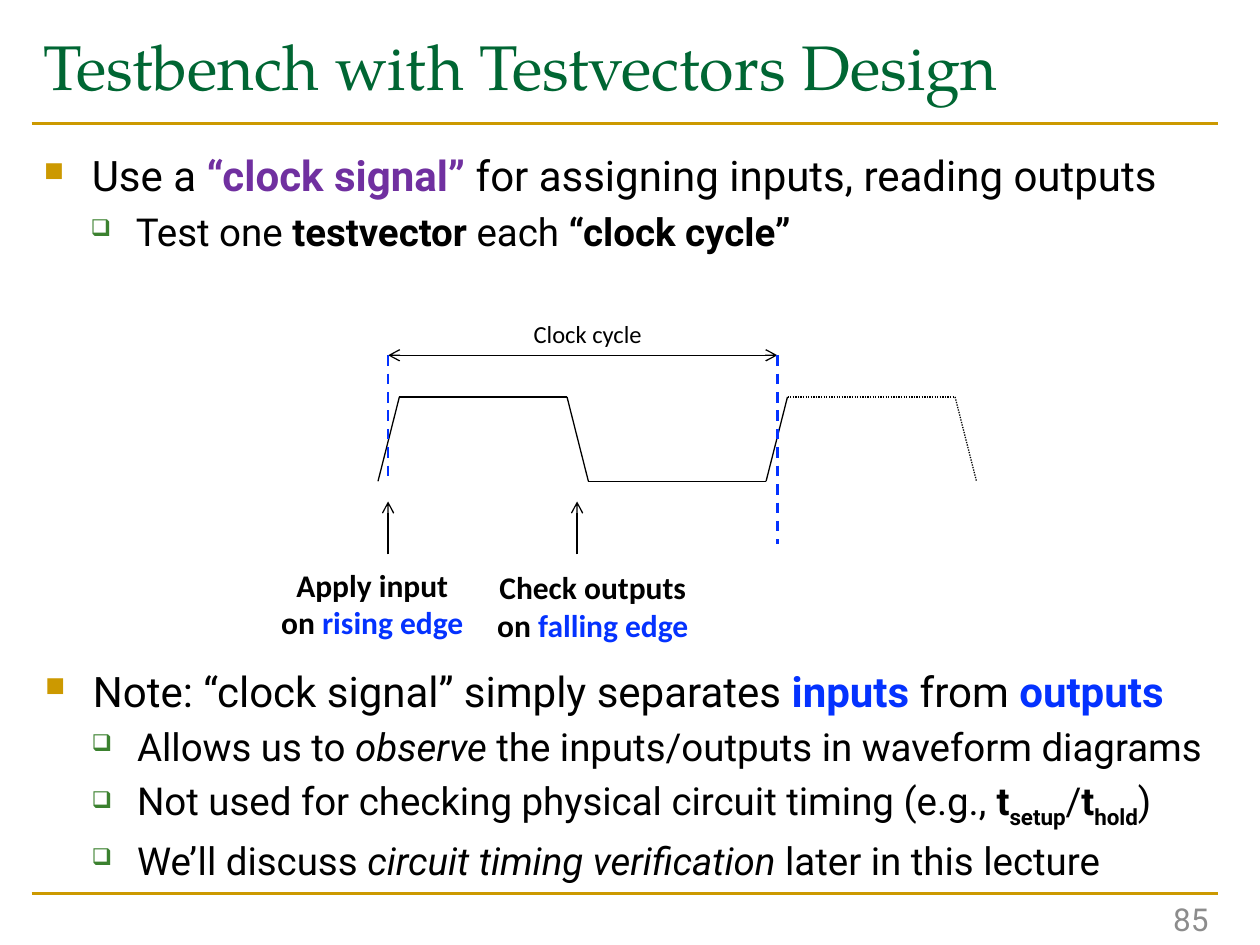
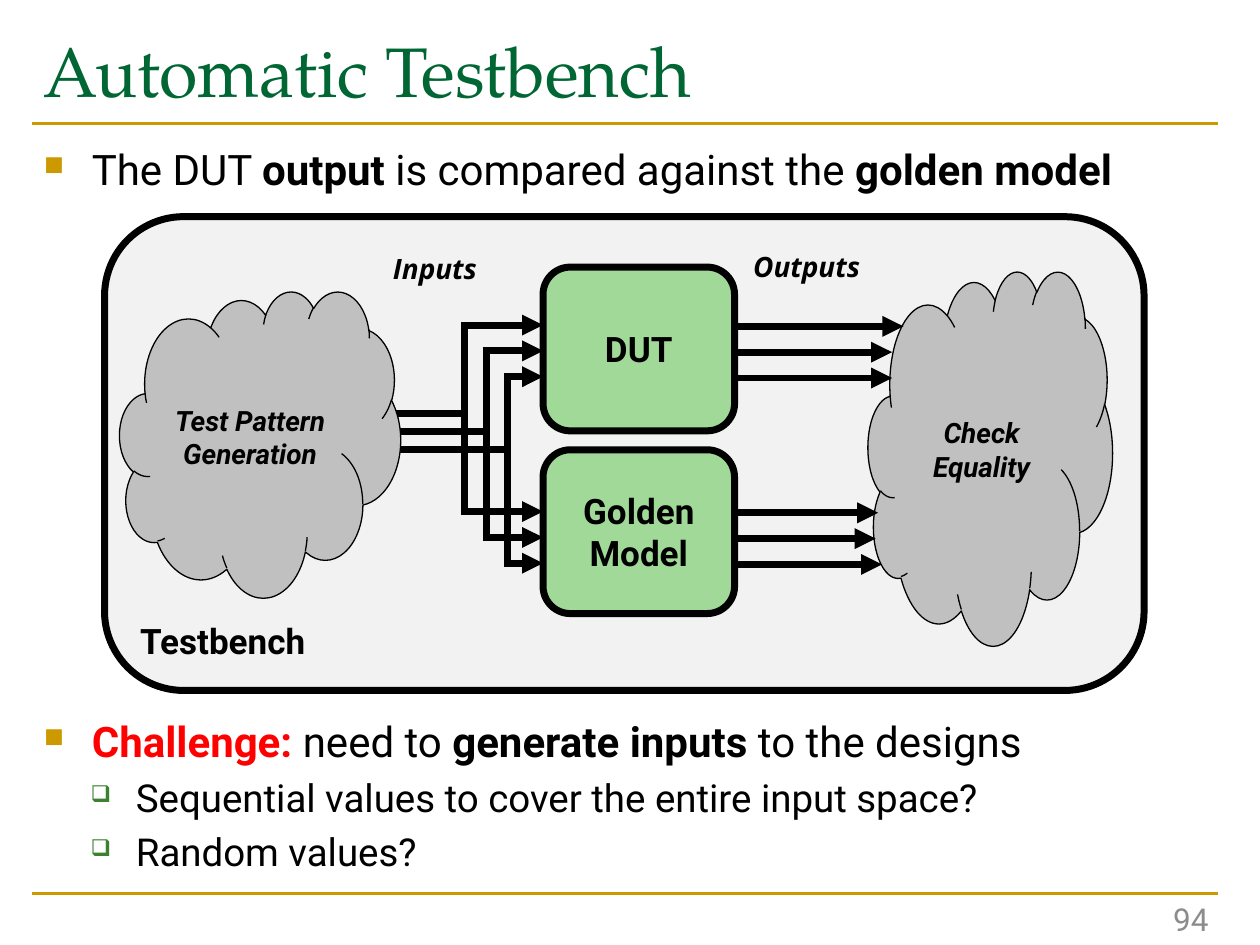
from dataclasses import dataclass
from itertools import pairwise
from typing import Optional, Union

from lxml.etree import SubElement
from pptx import Presentation
from pptx.dml.color import RGBColor
from pptx.enum.dml import MSO_LINE
from pptx.enum.shapes import MSO_CONNECTOR, MSO_SHAPE
from pptx.enum.text import MSO_ANCHOR, PP_ALIGN
from pptx.oxml.ns import qn
from pptx.util import Inches, Pt

COLORS = {
    "rule": "CC9900", "title": "006633", "sub_bullet": "3B812F", "page": "8C8C8C",
    "ink": "000000", "purple": "7030A0", "blue": "0432FF", "red": "FF0000",
    "bench": "F2F2F2", "model": "A1DA98", "cloud": "C0C0C0",
}
TITLE_FONT, BODY_FONT, LABEL_FONT, SIGNAL_FONT = (
    "TeX Gyre Pagella", "Roboto", "Calibri", "Open Sans")


@dataclass
class Run:
    text: str
    bold: Optional[bool] = None
    italic: Optional[bool] = None
    color: Optional[str] = None
    subscript: bool = False


@dataclass
class Style:
    size: float
    font: str = BODY_FONT
    color: str = "ink"
    bold: bool = False
    italic: bool = False
    align: PP_ALIGN = PP_ALIGN.LEFT


@dataclass
class Level:
    size: float
    indent: float
    hanging: float
    bullet: str
    bullet_color: str
    bullet_percent: int


@dataclass
class Block:
    """A preset shape with a label in it."""
    kind: MSO_SHAPE
    box: tuple[float, float, float, float]
    fill: str
    line_width: float
    label: str
    style: Style
    anchor: MSO_ANCHOR = MSO_ANCHOR.MIDDLE


Line = list[Union[str, Run]]
LEVELS = (Level(24, 0.38, 0.38, "■", "rule", 65),
          Level(22, 0.73, 0.36, "❑", "sub_bullet", 60))


def rgb(name: str) -> RGBColor:
    return RGBColor.from_string(COLORS[name])


def fill_paragraph(paragraph, line: Line, style: Style) -> None:
    paragraph.alignment = style.align
    font = paragraph.font
    font.name, font.size = style.font, Pt(style.size)
    font.bold, font.italic = style.bold, style.italic
    font.color.rgb = rgb(style.color)
    for part in line:
        part = Run(part) if isinstance(part, str) else part
        run = paragraph.add_run()
        run.text = part.text
        run.font.bold, run.font.italic = part.bold, part.italic
        if part.color:
            run.font.color.rgb = rgb(part.color)
        if part.subscript:
            run._r.get_or_add_rPr().set("baseline", "-25000")


def add_text(slide, box, lines: list[Line], style: Style, anchor=MSO_ANCHOR.TOP):
    frame = slide.shapes.add_textbox(*map(Inches, box)).text_frame
    frame.word_wrap = True
    frame.vertical_anchor = anchor
    for i, line in enumerate(lines):
        paragraph = frame.add_paragraph() if i else frame.paragraphs[0]
        fill_paragraph(paragraph, line, style)


def add_bullets(slide, box, items: list[tuple[int, Line]]) -> None:
    frame = slide.shapes.add_textbox(*map(Inches, box)).text_frame
    frame.word_wrap = True
    for i, (depth, line) in enumerate(items):
        level = LEVELS[depth]
        paragraph = frame.add_paragraph() if i else frame.paragraphs[0]
        paragraph.level = depth
        paragraph.space_before = Pt(0.2 * level.size)
        # Bullets come before the paragraph font in the XML
        props = paragraph._p.get_or_add_pPr()
        props.set("marL", str(Inches(level.indent)))
        props.set("indent", str(-Inches(level.hanging)))
        color = SubElement(props, qn("a:buClr"))
        SubElement(color, qn("a:srgbClr"), val=COLORS[level.bullet_color])
        SubElement(props, qn("a:buSzPct"), val=str(level.bullet_percent * 1000))
        SubElement(props, qn("a:buChar"), char=level.bullet)
        fill_paragraph(paragraph, line, Style(level.size))


def add_line(slide, start, end, color="ink", width=0.75, dash=None, head=None, tail=None):
    line = slide.shapes.add_connector(
        MSO_CONNECTOR.STRAIGHT, *map(Inches, (*start, *end)))
    line.line.color.rgb = rgb(color)
    line.line.width = Pt(width)
    if dash:
        line.line.dash_style = dash
    outline = line.line._get_or_add_ln()
    for tag, arrow in (("a:headEnd", head), ("a:tailEnd", tail)):
        if arrow:
            SubElement(outline, qn(tag), type=arrow)
    SubElement(line._element.spPr, qn("a:effectLst"))


def add_block(slide, block: Block) -> None:
    shape = slide.shapes.add_shape(block.kind, *map(Inches, block.box))
    shape.shadow.inherit = False
    shape.fill.solid()
    shape.fill.fore_color.rgb = rgb(block.fill)
    shape.line.color.rgb = rgb("ink")
    shape.line.width = Pt(block.line_width)
    frame = shape.text_frame
    frame.word_wrap = True
    frame.vertical_anchor = block.anchor
    fill_paragraph(frame.paragraphs[0], [block.label], block.style)


def new_slide(deck, title: str, title_size: float, page: int):
    """Blank slide with the shared rules, title and page number."""
    slide = deck.slides.add_slide(deck.slide_layouts[6])
    for y in (7.09, 0.98):
        add_line(slide, (0.25, y), (9.67, y), "rule", 1.5)
    add_text(slide, (0.25, 0.17, 9.42, 1.17), [[title]],
             Style(title_size, TITLE_FONT, "title"))
    add_text(slide, (7.44, 7.09, 2.25, 0.4), [[str(page)]],
             Style(18, color="page", align=PP_ALIGN.RIGHT), MSO_ANCHOR.MIDDLE)
    return slide


def build_clock_slide(deck) -> None:
    slide = new_slide(deck, "Testbench with Testvectors Design", 36, 85)
    add_bullets(slide, (0.25, 1.14, 9.42, 3.09), [
        (0, ["Use a ", Run("“clock signal” ", bold=True, color="purple"),
             "for assigning inputs, reading outputs"]),
        (1, ["Test one ", Run("testvector", bold=True), " each ",
             Run("“clock cycle”", bold=True)]),
    ])

    # Clock waveform: one full cycle, then a dotted continuation
    high, low = 3.15, 3.82
    cycle = [(3, low), (3.17, high), (4.5, high), (4.67, low), (6.08, low), (6.25, high)]
    next_cycle = [(6.25, high), (7.58, high), (7.75, low)]
    for points, dash in ((cycle, None), (next_cycle, MSO_LINE.ROUND_DOT)):
        for start, end in pairwise(points):
            add_line(slide, start, end, dash=dash)

    # Edge markers and cycle length
    rising, falling, next_rising, cycle_y = 3.08, 4.58, 6.17, 2.82
    for x in (rising, falling):
        add_line(slide, (x, 4.4), (x, 3.98), tail="arrow")
    add_line(slide, (rising, cycle_y), (next_rising, cycle_y), head="arrow", tail="arrow")
    for x, bottom in ((rising, low), (next_rising, 4.32)):
        add_line(slide, (x, cycle_y), (x, bottom), "blue", 1.5, MSO_LINE.DASH)

    # Diagram labels
    edge_style = Style(18, LABEL_FONT, bold=True, align=PP_ALIGN.CENTER)
    add_text(slide, (2.08, 4.44, 1.75, 0.71),
             [["Apply input"], ["on ", Run("rising edge", color="blue")]], edge_style)
    add_text(slide, (3.83, 4.46, 1.75, 0.71),
             [["Check outputs on ", Run("falling edge", color="blue")]], edge_style)
    add_text(slide, (3.83, 2.48, 1.67, 0.34), [["Clock cycle"]],
             Style(14, LABEL_FONT, align=PP_ALIGN.CENTER))

    add_bullets(slide, (0.26, 5.23, 9.67, 2.24), [
        (0, ["Note: “clock signal” simply separates ",
             Run("inputs", bold=True, color="blue"), " from ",
             Run("outputs", bold=True, color="blue")]),
        (1, ["Allows us to ", Run("observe ", italic=True),
             "the inputs/outputs in waveform diagrams"]),
        (1, ["Not used for checking physical circuit timing (e.g., ",
             Run("t", bold=True), Run("setup", bold=True, subscript=True), "/",
             Run("t", bold=True), Run("hold", bold=True, subscript=True), ")"]),
        (1, ["We’ll discuss ", Run("circuit timing verification ", italic=True),
             "later in this lecture"]),
    ])


def build_automatic_slide(deck) -> None:
    slide = new_slide(deck, "Automatic Testbench", 40, 94)
    add_bullets(slide, (0.25, 1.09, 9.42, 0.56), [
        (0, ["The DUT ", Run("output", bold=True), " is compared against the ",
             Run("golden model", bold=True)]),
    ])

    model_x, model_width, heavy = 4.31, 1.52, 4
    model_style = Style(20, bold=True, align=PP_ALIGN.CENTER)
    cloud_style = Style(16, bold=True, italic=True, align=PP_ALIGN.CENTER)

    # Testbench frame, both models and the checker
    add_block(slide, Block(MSO_SHAPE.ROUNDED_RECTANGLE, (0.83, 1.72, 8.25, 3.76), "bench",
                           heavy, "Testbench", Style(20, bold=True), MSO_ANCHOR.BOTTOM))
    for y, name in ((2.12, "DUT"), (3.57, "Golden Model")):
        add_block(slide, Block(MSO_SHAPE.ROUNDED_RECTANGLE, (model_x, y, model_width, 1.3),
                               "model", heavy, name, model_style))
    add_block(slide, Block(MSO_SHAPE.CLOUD, (6.89, 2.15, 1.94, 2.97), "cloud", 0.75,
                           "Check Equality", cloud_style))
    for box, name in (((3.02, 1.95, 1.32, 0.37), "Inputs"),
                      ((5.88, 1.93, 1.4, 0.37), "Outputs")):
        add_text(slide, box, [[name]], Style(16, SIGNAL_FONT, bold=True, italic=True))

    # Each input wire branches to both models; each model drives the checker
    dut_ends, golden_ends = (7.17, 7.08, 7.08), (6.97, 6.95, 7)
    for i in range(3):
        trunk_x, source_y = 3.69 + 0.17 * i, 3.28 + 0.145 * i
        dut_y = 2.58 + 0.205 * i
        golden_y = dut_y + 1.48
        add_line(slide, (2.92, source_y), (trunk_x, source_y), width=heavy)
        add_line(slide, (trunk_x, dut_y), (trunk_x, golden_y), width=heavy)
        for y, checker_x in ((dut_y, dut_ends[i]), (golden_y, golden_ends[i])):
            add_line(slide, (trunk_x - 0.03, y), (model_x, y), width=heavy, tail="triangle")
            add_line(slide, (model_x + model_width, y + 0.01), (checker_x, y + 0.01),
                     width=heavy, tail="triangle")

    # The generator covers the wire starts
    add_block(slide, Block(MSO_SHAPE.CLOUD, (0.95, 2.31, 2.23, 2.43), "cloud", 0.75,
                           "Test Pattern Generation", cloud_style))

    add_bullets(slide, (0.25, 5.63, 9.42, 1.39), [
        (0, [Run("Challenge: ", bold=True, color="red"), "need to ",
             Run("generate inputs ", bold=True), "to the designs"]),
        (1, ["Sequential values to cover the entire input space?"]),
        (1, ["Random values?"]),
    ])


deck = Presentation()
deck.slide_width, deck.slide_height = Inches(10), Inches(7.5)
build_clock_slide(deck)
build_automatic_slide(deck)
deck.save("out.pptx")
